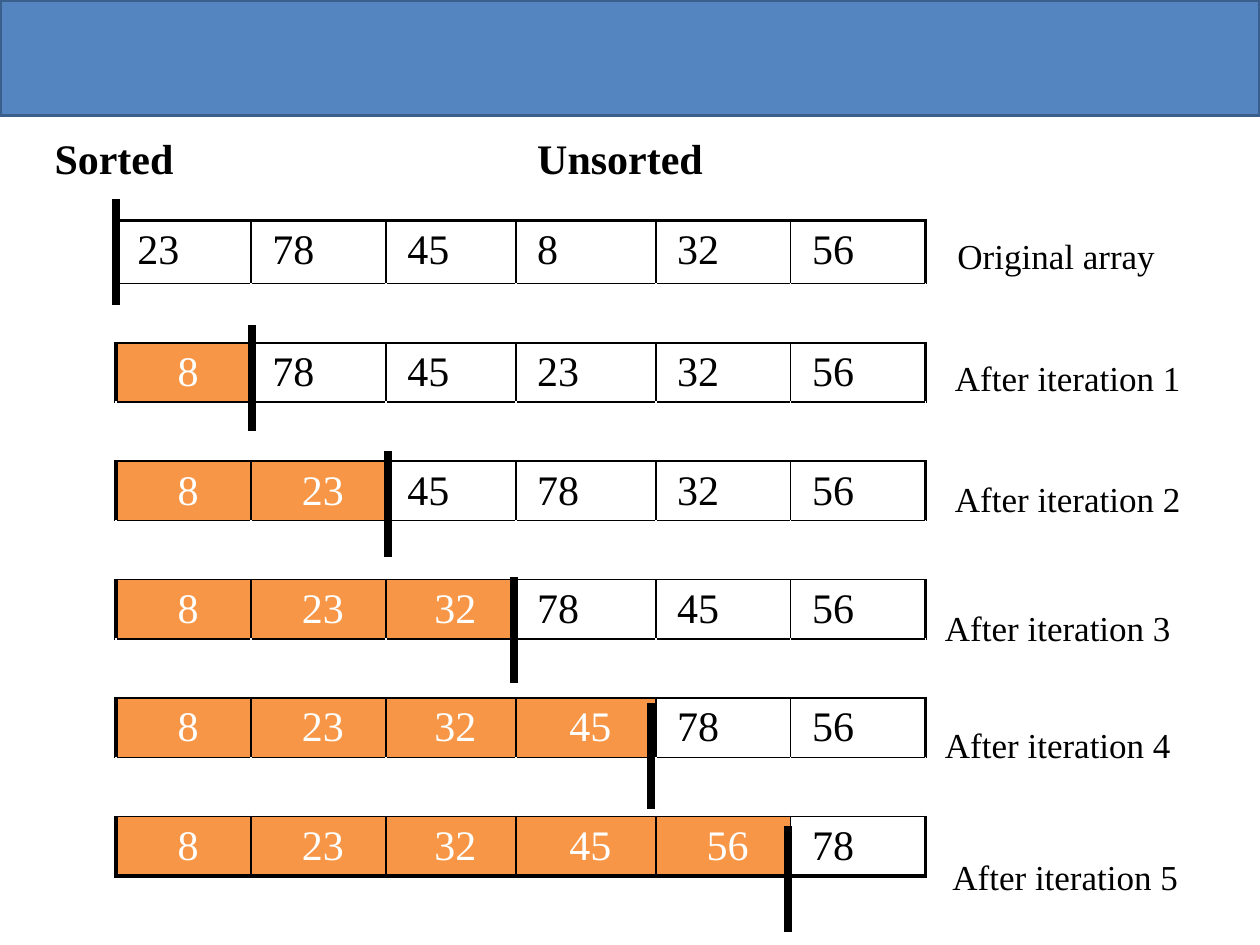
from lxml.etree import SubElement
from pptx import Presentation
from pptx.dml.color import RGBColor
from pptx.enum.shapes import MSO_CONNECTOR, MSO_SHAPE
from pptx.enum.text import PP_ALIGN
from pptx.oxml.ns import qn
from pptx.util import Cm, Pt

FONT = "Times New Roman"
BLACK = RGBColor(0x00, 0x00, 0x00)
WHITE = RGBColor(0xFF, 0xFF, 0xFF)
ORANGE = RGBColor(0xF7, 0x96, 0x46)
BANNER_FILL = RGBColor(0x54, 0x85, 0xC0)
BANNER_LINE = RGBColor(0x3A, 0x5F, 0x8C)

THIN, THICK = 1, 2.25

# The array after each pass; pass n has n sorted values at the front
PASSES = [
    [23, 78, 45, 8, 32, 56],
    [8, 78, 45, 23, 32, 56],
    [8, 23, 45, 78, 32, 56],
    [8, 23, 32, 78, 45, 56],
    [8, 23, 32, 45, 78, 56],
    [8, 23, 32, 45, 56, 78],
]
COLUMN_WIDTHS = [2.72, 2.72, 2.62, 2.82, 2.72, 2.72]
FIRST_ROW_HEIGHT, ROW_HEIGHT = 1.27, 1.19

# Label text, left, top
PASS_LABELS = [
    ("After iteration 1", 19.25, 7.19),
    ("After iteration 2", 19.25, 9.63),
    ("After iteration 3", 19.05, 12.22),
    ("After iteration 4", 19.05, 14.58),
    ("After iteration 5", 19.2, 17.25),
]

# Left and top of the bar between the sorted and unsorted parts
DIVIDERS = [(2.34, 4.02), (5.08, 6.56), (7.82, 9.1),
            (10.36, 11.64), (13.13, 14.18), (15.88, 16.66)]
DIVIDER_LENGTH = 2.12


def style_text(paragraph, size, color, bold=False):
    for run in paragraph.runs:
        run.font.name = FONT
        run.font.size = Pt(size)
        run.font.bold = bold
        run.font.color.rgb = color


def add_banner(slide):
    banner = slide.shapes.add_shape(
        MSO_SHAPE.RECTANGLE, 0, 0, Cm(25.4), Cm(2.33))
    banner.shadow.inherit = False
    banner.fill.solid()
    banner.fill.fore_color.rgb = BANNER_FILL
    banner.line.color.rgb = BANNER_LINE
    banner.line.width = Pt(2)


def add_label(slide, text, left, top, width=4.78, height=0.97,
              size=20, bold=False, padded=False):
    label = slide.shapes.add_textbox(
        Cm(left), Cm(top), Cm(width), Cm(height))
    frame = label.text_frame
    frame.word_wrap = True
    if not padded:
        frame.margin_left = frame.margin_right = 0
        frame.margin_top = frame.margin_bottom = 0
    frame.text = text
    style_text(frame.paragraphs[0], size, BLACK, bold)


def set_borders(cell, **widths):
    properties = cell._tc.get_or_add_tcPr()
    for side in "LRTB":
        if side in widths:
            border = SubElement(properties, qn(f"a:ln{side}"),
                                w=str(Pt(widths[side])))
            fill = SubElement(border, qn("a:solidFill"))
            SubElement(fill, qn("a:srgbClr"), val=str(BLACK))


def fill_value_cell(cell, value, is_sorted):
    cell.margin_left, cell.margin_right = Cm(0.43), Cm(0.25)
    cell.margin_top = cell.margin_bottom = Cm(0.13)
    cell.text_frame.text = str(value)
    paragraph = cell.text_frame.paragraphs[0]
    if is_sorted:
        paragraph.alignment = PP_ALIGN.CENTER
        cell.fill.solid()
        cell.fill.fore_color.rgb = ORANGE
    else:
        cell.fill.background()
    style_text(paragraph, 24, WHITE if is_sorted else BLACK)


def add_pass_table(slide):
    row_count = 2 * len(PASSES) - 1
    heights = [FIRST_ROW_HEIGHT] + [ROW_HEIGHT] * (row_count - 1)
    table = slide.shapes.add_table(
        row_count, len(COLUMN_WIDTHS), Cm(2.34), Cm(4.45),
        Cm(sum(COLUMN_WIDTHS)), Cm(sum(heights))).table
    table.first_row = table.horz_banding = False
    for column, width in zip(table.columns, COLUMN_WIDTHS):
        column.width = Cm(width)
    for row, height in zip(table.rows, heights):
        row.height = Cm(height)

    last_row, last_column = row_count - 1, len(COLUMN_WIDTHS) - 1
    for r in range(row_count):
        for c in range(len(COLUMN_WIDTHS)):
            cell = table.cell(r, c)
            # Odd rows are the gaps between passes
            if r % 2:
                set_borders(cell, T=THIN, B=THIN)
                cell.fill.background()
                continue
            set_borders(cell,
                        L=THICK if c == 0 else THIN,
                        R=THICK if c == last_column else THIN,
                        T=THICK if r == 0 else THIN,
                        B=THICK if r == last_row else THIN)
            number = r // 2
            fill_value_cell(cell, PASSES[number][c], c < number)


def add_divider(slide, left, top):
    divider = slide.shapes.add_connector(
        MSO_CONNECTOR.STRAIGHT,
        Cm(left), Cm(top), Cm(left), Cm(top + DIVIDER_LENGTH))
    divider.line.color.rgb = BLACK
    divider.line.width = Pt(4.5)
    SubElement(divider._element.spPr, qn("a:effectLst"))


def main():
    presentation = Presentation()
    presentation.slide_width, presentation.slide_height = Cm(25.4), Cm(19.05)
    slide = presentation.slides.add_slide(presentation.slide_layouts[6])

    add_banner(slide)
    add_pass_table(slide)

    # Labels to the right of the arrays
    add_label(slide, "Original array", 19.05, 4.6, padded=True)
    for text, left, top in PASS_LABELS:
        add_label(slide, text, left, top)

    # Headings over the two parts
    for text, left in (("Sorted", 0.85), ("Unsorted", 10.58)):
        add_label(slide, text, left, 2.54, 4.02, 1.27,
                  size=24, bold=True, padded=True)

    for left, top in DIVIDERS:
        add_divider(slide, left, top)

    presentation.save("out.pptx")


if __name__ == "__main__":
    main()
